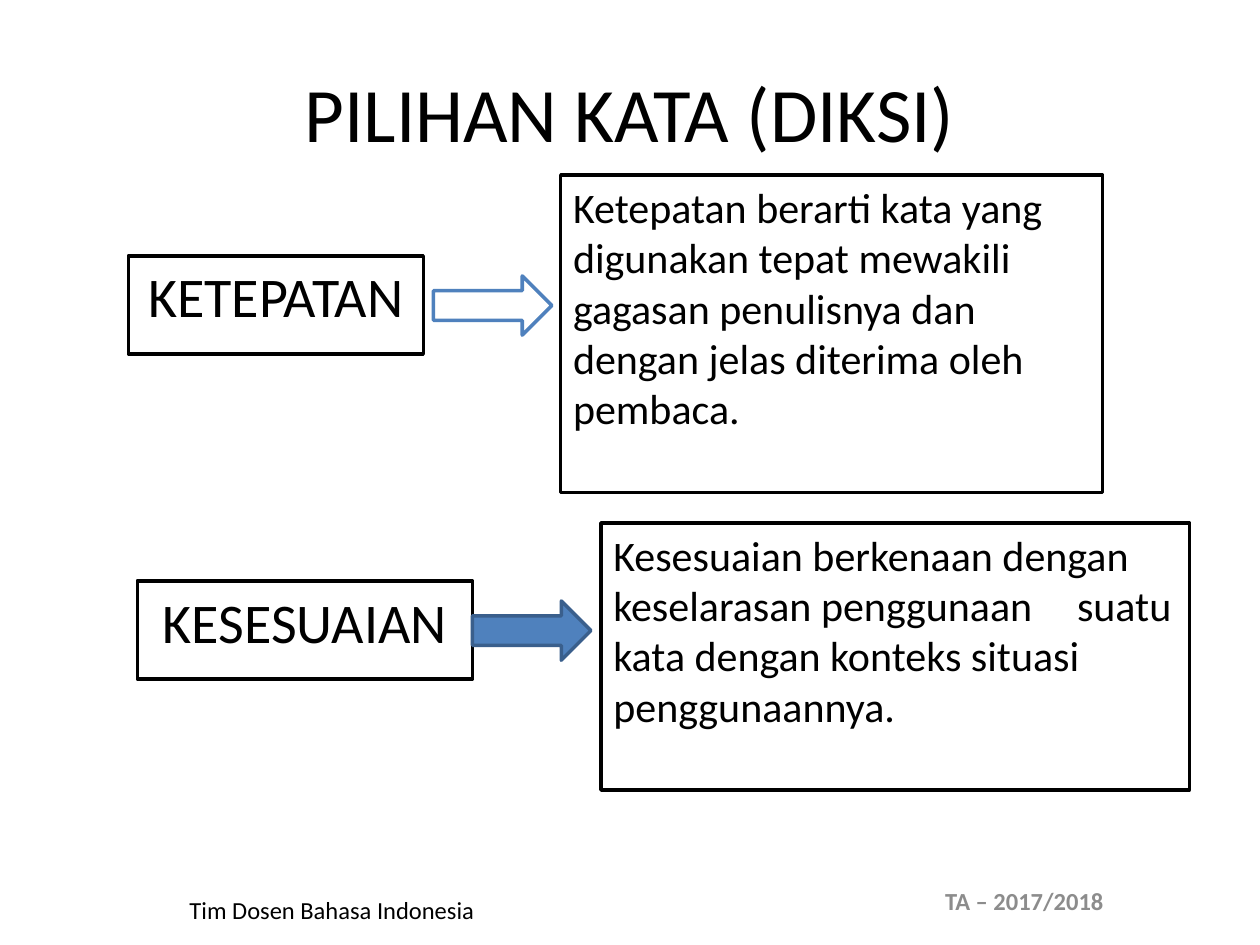
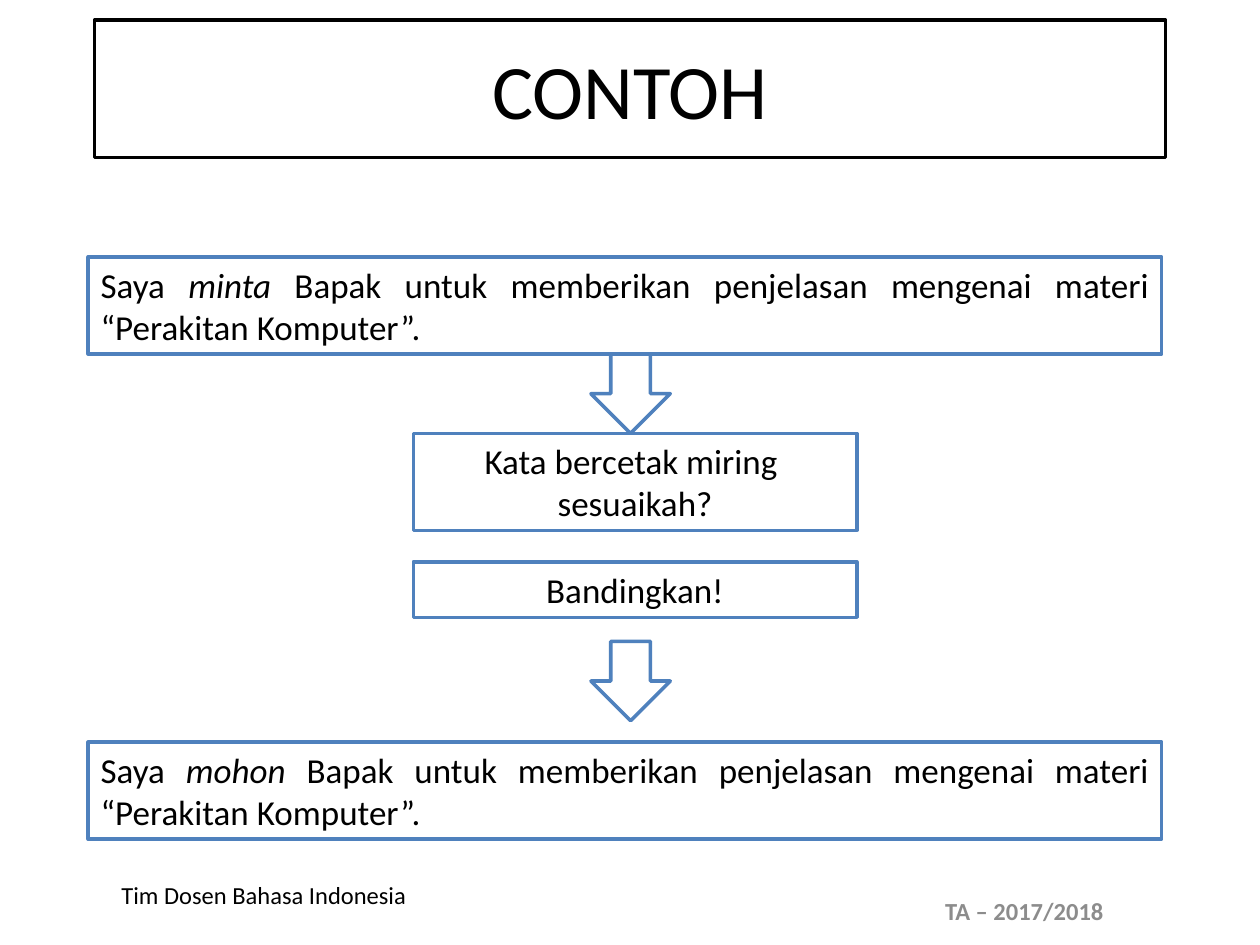
from dataclasses import dataclass

import pptx
import pptx.dml.color
import pptx.enum.shapes
import pptx.enum.text
import pptx.oxml
import pptx.oxml.ns
import pptx.slide
import pptx.util
from pptx.util import Inches

BLACK, WHITE, BLUE, DARK_BLUE, GREY = "000000", "FFFFFF", "4F81BD", "3A5F8C", "8C8C8C"
FONT = "Calibri"
PRESET = pptx.enum.shapes.MSO_SHAPE
ALIGN = pptx.enum.text.PP_ALIGN
ANCHOR = pptx.enum.text.MSO_ANCHOR


@dataclass
class Run:
    text: str
    italic: bool = False
    bold: bool = False


@dataclass
class Box:
    """A text area; without an outline it is a plain text box."""
    left: float
    top: float
    width: float
    height: float
    paragraphs: list[list[Run]]
    size: int
    align: ALIGN = ALIGN.CENTER
    anchor: ANCHOR = ANCHOR.TOP
    outline: str | None = None
    color: str = BLACK
    tab: float | None = None


@dataclass
class Arrow:
    preset: PRESET
    left: float
    top: float
    width: float
    height: float
    fill: str = WHITE
    outline: str = BLUE


def rgb(value: str) -> pptx.dml.color.RGBColor:
    return pptx.dml.color.RGBColor.from_string(value)


def draw_preset(slide: pptx.slide.Slide, preset: PRESET, part: Box | Arrow, fill: str):
    shape = slide.shapes.add_shape(preset, Inches(part.left), Inches(part.top),
                                   Inches(part.width), Inches(part.height))
    shape.shadow.inherit = False
    shape.fill.solid()
    shape.fill.fore_color.rgb = rgb(fill)
    shape.line.color.rgb = rgb(part.outline)
    shape.line.width = pptx.util.Pt(2)
    return shape


def draw_arrow(slide: pptx.slide.Slide, arrow: Arrow) -> None:
    draw_preset(slide, arrow.preset, arrow, arrow.fill)


def add_tab_stop(paragraph, position: float) -> None:
    tabs = pptx.oxml.parse_xml(
        f'<a:tabLst {pptx.oxml.ns.nsdecls("a")}>'
        f'<a:tab pos="{Inches(position)}" algn="l"/></a:tabLst>')
    paragraph._p.get_or_add_pPr().append(tabs)


def draw_box(slide: pptx.slide.Slide, box: Box) -> None:
    if box.outline:
        shape = draw_preset(slide, PRESET.RECTANGLE, box, WHITE)
    else:
        shape = slide.shapes.add_textbox(Inches(box.left), Inches(box.top),
                                         Inches(box.width), Inches(box.height))
    frame = shape.text_frame
    frame.word_wrap = True
    frame.vertical_anchor = box.anchor
    for index, runs in enumerate(box.paragraphs):
        paragraph = frame.add_paragraph() if index else frame.paragraphs[0]
        paragraph.alignment = box.align
        if box.tab:
            add_tab_stop(paragraph, box.tab)
        for piece in runs:
            run = paragraph.add_run()
            run.text = piece.text
            run.font.name = FONT
            run.font.size = pptx.util.Pt(box.size)
            run.font.color.rgb = rgb(box.color)
            run.font.italic = piece.italic
            run.font.bold = piece.bold


# Parts shared by both slides
def title(text: str, top: float, height: float, outline: str | None = None) -> Box:
    return Box(0.75, top, 8.5, height, [[Run(text)]], 44,
               anchor=ANCHOR.MIDDLE, outline=outline)


def footers(team_left: float, team_top: float, year_top: float) -> list[Box]:
    return [
        Box(team_left, team_top, 3.17, 0.4, [[Run("Tim Dosen Bahasa Indonesia")]], 14,
            anchor=ANCHOR.MIDDLE),
        Box(6.82, year_top, 2.62, 0.46, [[Run("TA – 2017/2018", bold=True)]], 14,
            anchor=ANCHOR.MIDDLE, color=GREY),
    ]


# Diction slide
def criterion(text: str, left: float, top: float, width: float) -> Box:
    return Box(left, top, width, 0.78, [[Run(text)]], 32, outline=BLACK)


def meaning(text: str, left: float, top: float, width: float, height: float,
            tab: float | None = None) -> Box:
    return Box(left, top, width, height, [[Run(text)]], 24, ALIGN.LEFT,
               outline=BLACK, tab=tab)


def right_arrow(left: float, top: float, fill: str, outline: str) -> Arrow:
    return Arrow(PRESET.RIGHT_ARROW, left, top, 0.94, 0.47, fill, outline)


# Example slide
def sentence(verb: str, top: float) -> Box:
    runs = [Run("Saya "), Run(verb, italic=True),
            Run(" Bapak untuk memberikan penjelasan mengenai materi “Perakitan Komputer”.")]
    return Box(0.7, top, 8.52, 0.77, [runs], 20, ALIGN.JUSTIFY, outline=BLUE)


def prompt(lines: list[str], top: float, height: float) -> Box:
    return Box(3.28, top, 3.52, height, [[Run(line)] for line in lines], 20, outline=BLUE)


def down_arrow(top: float) -> Arrow:
    return Arrow(PRESET.DOWN_ARROW, 4.69, top, 0.63, 0.63)


DICTION = [
    title("PILIHAN KATA (DIKSI)", 0.31, 1.15),
    *footers(1.05, 7.02, 6.92),
    criterion("KETEPATAN", 1.02, 2.03, 2.34),
    right_arrow(3.44, 2.19, WHITE, BLUE),
    meaning("Ketepatan berarti kata yang digunakan tepat mewakili gagasan penulisnya "
            "dan dengan jelas diterima oleh pembaca.", 4.45, 1.39, 4.3, 2.52),
    criterion("KESESUAIAN", 1.09, 4.61, 2.66),
    meaning("Kesesuaian berkenaan dengan keselarasan penggunaan \tsuatu kata dengan "
            "konteks situasi penggunaannya.", 4.77, 4.15, 4.67, 2.12, tab=3.68),
    right_arrow(3.75, 4.77, BLUE, DARK_BLUE),
]

EXAMPLE = [
    title("CONTOH", 0.16, 1.09, outline=BLACK),
    *footers(0.51, 6.9, 7),
    sentence("minta", 2.04),
    prompt(["Kata bercetak miring ", "sesuaikah?"], 3.44, 0.77),
    down_arrow(2.81),
    sentence("mohon", 5.89),
    prompt(["Bandingkan!"], 4.46, 0.44),
    down_arrow(5.09),
]


def main() -> None:
    deck = pptx.Presentation()
    deck.slide_width, deck.slide_height = Inches(10), Inches(7.5)
    for parts in (DICTION, EXAMPLE):
        slide = deck.slides.add_slide(deck.slide_layouts[6])
        for part in parts:
            if isinstance(part, Arrow):
                draw_arrow(slide, part)
            else:
                draw_box(slide, part)
    deck.save("out.pptx")


if __name__ == "__main__":
    main()
